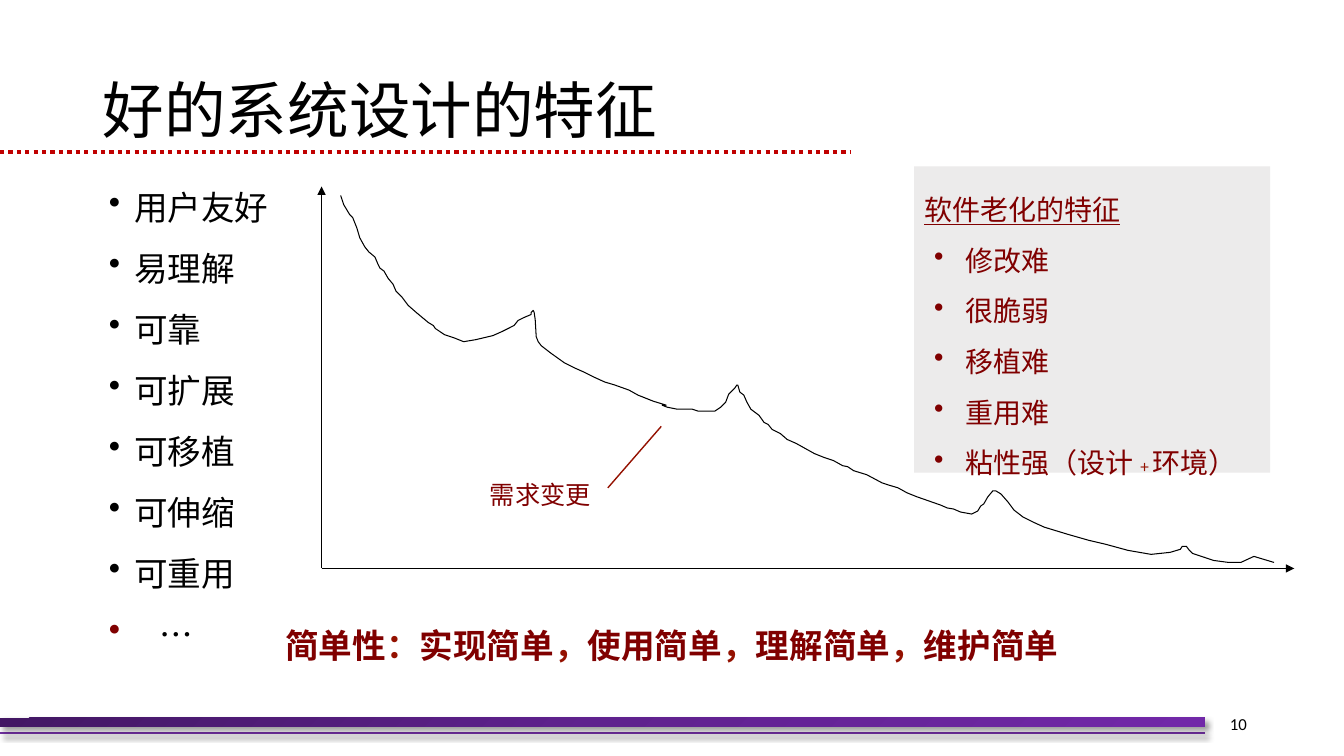
import copy
import pptx
import pptx.util
import pptx.dml.color
import pptx.enum.dml
import pptx.enum.shapes
import pptx.enum.text
import pptx.oxml
import pptx.oxml.ns

# Grid of square cells, ten to the inch: 133.3 columns by 75 rows.
CELL = pptx.util.Inches(0.1)
COLS, ROWS = 133.33, 75
HUES = {"black": "000000", "red": "C00000", "wine": "800000", "rust": "941100",
        "plum": "7030A0", "dusk": "431764", "grape": "5F218E", "iris": "7128A8",
        "grey": "ECEBEB"}
SANS = "Noto Sans CJK SC"
NS = pptx.oxml.ns.nsdecls("a")
SHADE = (f'<a:effectLst {NS}><a:outerShdw blurRad="50800" dist="38100" dir="2700000">'
         '<a:srgbClr val="000000"><a:alpha val="40000"/></a:srgbClr></a:outerShdw></a:effectLst>')

PLAIN = f"<a:effectLst {NS}/>"


def rgb(hue):
    return pptx.dml.color.RGBColor.from_string(HUES[hue])


def write(frame, paras, inset=0, anchor="TOP"):
    """Fill a frame from (format dict, bullet dict or None, runs); a run is (text, font dict)."""
    frame.word_wrap = True
    frame.vertical_anchor = pptx.enum.text.MSO_ANCHOR[anchor]
    frame.margin_left = frame.margin_right = frame.margin_bottom = 0
    frame.margin_top = round(inset * CELL)
    for i, (form, dot, runs) in enumerate(paras):
        para = frame.add_paragraph() if i else frame.paragraphs[0]
        if dot:
            props = para._p.get_or_add_pPr()
            props.set("marL", str(round(dot["left"] * CELL)))
            props.set("indent", str(round(-dot["hang"] * CELL)))
            tint = HUES[dot["hue"]]
            for xml in (f'<a:buClr {NS}><a:srgbClr val="{tint}"/></a:buClr>',
                        f'<a:buChar {NS} char="•"/>'):
                props.append(pptx.oxml.parse_xml(xml))
        for key, val in {"alignment": pptx.enum.text.PP_ALIGN.LEFT, **form}.items():
            setattr(para, key, val)
        for text, face in runs:
            run = para.add_run()
            run.text = text
            look = {"name": SANS, **face}
            run.font.color.rgb = rgb(look.pop("hue"))
            lift = look.pop("lift", None)
            for key, val in look.items():
                setattr(run.font, key, val)
            props = run._r.get_or_add_rPr()
            props.append(pptx.oxml.parse_xml(f'<a:ea {NS} typeface="{look["name"]}"/>'))
            if lift:
                props.set("baseline", lift)


Pt = pptx.util.Pt
deck = pptx.Presentation()
deck.slide_width, deck.slide_height = round(COLS * CELL), ROWS * CELL
slide = deck.slides.add_slide(deck.slide_layouts[6])
shapes = slide.shapes
RECT = pptx.enum.shapes.MSO_SHAPE.RECTANGLE

# Straight lines: ends in cells, hue, width, dash, arrow, effects
lines = [
    ((0, 72.7, 119.5, 72.7), "plum", 1.5, False, False, SHADE),
    ((0, 15.1, 84.4, 15.1), "red", 3, True, False, PLAIN),
    ((31.9, 56.4, 128.4, 56.4), "black", 0.75, False, True, PLAIN),
    ((31.9, 56.4, 31.9, 18.5), "black", 0.75, False, True, PLAIN),
    ((60.3, 48.4, 65.6, 42.3), "rust", 1, False, False, PLAIN),
]
for ends, hue, width, dash, arrow, effect in lines:
    line = shapes.add_connector(pptx.enum.shapes.MSO_CONNECTOR.STRAIGHT,
                                *(round(n * CELL) for n in ends))
    line.line.color.rgb = rgb(hue)
    line.line.width = Pt(width)
    if dash:
        line.line.dash_style = pptx.enum.dml.MSO_LINE.ROUND_DOT
    if arrow:
        line.line._get_or_add_ln().append(
            pptx.oxml.parse_xml(f'<a:tailEnd {NS} type="triangle"/>'))
    line._element.spPr.append(pptx.oxml.parse_xml(effect))

# Footer bar
bar = shapes.add_shape(RECT, 0, round(71.2 * CELL), round(119.5 * CELL), round(0.9 * CELL))
bar.line.fill.background()
bar.fill.gradient()
bar.fill.gradient_angle = 315
stops = bar._element.spPr.find(".//" + pptx.oxml.ns.qn("a:gsLst"))
stops.insert(1, copy.deepcopy(stops[0]))
for stop, hue, place in zip(bar.fill.gradient_stops, ("dusk", "grape", "iris"), (0, 0.5, 1)):
    stop.color.rgb = rgb(hue)
    stop.position = place
bar._element.spPr.append(pptx.oxml.parse_xml(SHADE))

# Decay curve, in hundredths of an inch
curve = [
    (338, 194), (341, 203), (347, 213), (350, 216), (354, 226), (357, 236), (362, 245),
    (366, 250), (372, 255), (375, 262), (377, 266), (381, 269), (385, 276), (390, 282),
    (393, 289), (399, 295), (405, 303), (413, 310), (425, 320), (430, 323), (432, 326),
    (441, 332), (450, 335), (460, 339), (472, 337), (489, 333), (498, 329), (510, 323),
    (514, 318), (520, 315), (527, 312), (527, 310), (529, 308), (530, 310), (531, 317),
    (532, 334), (534, 339), (537, 343), (546, 350), (560, 360), (570, 365), (579, 369),
    (589, 374), (600, 379), (610, 382), (624, 387), (633, 392), (648, 398), (661, 402),
    (657, 402), (662, 404), (672, 406), (687, 406), (693, 408), (709, 408), (715, 404),
    (720, 399), (723, 391), (729, 385), (731, 382), (732, 382), (734, 389), (738, 392),
    (741, 399), (745, 406), (753, 412), (758, 419), (762, 421), (766, 426), (774, 430),
    (781, 436), (790, 440), (808, 450), (818, 454), (827, 457), (836, 462), (841, 463),
    (847, 467), (860, 471), (875, 479), (881, 481), (891, 484), (900, 489), (910, 493),
    (933, 501), (940, 504), (946, 505), (953, 508), (964, 510), (970, 507), (973, 502),
    (976, 500), (980, 493), (985, 487), (988, 487), (993, 490), (1000, 498), (1006, 506),
    (1015, 513), (1025, 518), (1036, 523), (1059, 530), (1080, 536), (1097, 540),
    (1119, 546), (1142, 550), (1161, 548), (1171, 545), (1173, 542), (1177, 542),
    (1180, 546), (1183, 549), (1195, 553), (1204, 556), (1219, 558), (1231, 558),
    (1244, 552), (1264, 558)]
build = shapes.build_freeform(*curve[0], scale=CELL / 10)
build.add_line_segments(curve[1:], close=False)
decay = build.convert_to_shape()
decay.fill.background()
decay.line.color.rgb = rgb("black")
decay.line.width = Pt(0.75)
decay.shadow.inherit = False

# Panel on ageing software
panel = shapes.add_shape(RECT, *(round(n * CELL) for n in (90.7, 16.5, 35.3, 30.4)))
panel.fill.solid()
panel.fill.fore_color.rgb = rgb("grey")
panel.line.fill.background()
panel.shadow.inherit = False
wine = {"size": Pt(20), "hue": "wine"}
pitch = {"line_spacing": Pt(36.2)}
mark = {"left": 4.1, "hang": 3.1, "hue": "wine"}
signs = [[(word, wine)] for word in ("修改难", "很脆弱", "移植难", "重用难")]
signs.append([("粘性强（设计 ", wine), ("+ ", {**wine, "hue": "rust", "lift": "3000"}),
              ("环境）", wine)])
write(panel.text_frame,
      [(pitch, None, [("软件老化的特征", {**wine, "underline": True})])]
      + [(pitch, mark, runs) for runs in signs], 0.9)
panel.text_frame.margin_left = CELL

# Text boxes: place in cells, paragraphs, top inset, anchor
ink = {"size": Pt(24), "hue": "black"}
traits = []
for i, word in enumerate(("用户友好", "易理解", "可靠", "可扩展", "可移植", "可伸缩", "可重用", "…")):
    last = word == "…"
    form = {"line_spacing": Pt(28.8), "space_before": Pt(14.8 if i else 0)}
    dot = {"left": 5.1 if last else 2.6, "hang": 5 if last else 2.5,
           "hue": "wine" if last else "black"}
    traits.append((form, dot, [(word, ink)]))
motto = []
for i, word in enumerate(("简单性", "实现简单", "使用简单", "理解简单", "维护简单")):
    if i:
        motto.append(("：" if i == 1 else "，", {"size": Pt(24), "hue": "rust", "bold": True}))
    motto.append((word, {"size": Pt(24), "hue": "wine", "bold": True}))
align = pptx.enum.text.PP_ALIGN
boxes = [
    ((10.2, 4, 113, 14.5), [({"line_spacing": 0.9}, None,
     [("好的系统设计的特征", {"size": Pt(44), "hue": "black"})])], 0, "MIDDLE"),
    ((113.8, 69.8, 9.9, 4), [({"alignment": align.RIGHT}, None,
     [("10", {"size": Pt(12), "hue": "black", "name": "Calibri"})])], 0, "MIDDLE"),
    ((10.7, 16.1, 18.7, 48.7), traits, 2.4, "TOP"),
    ((48.6, 47.4, 11, 3.3), [({"line_spacing": Pt(21.6)}, None,
     [("需求变更", {"size": Pt(18), "hue": "wine"})])], 0.2, "TOP"),
    ((22.8, 61.6, 87.7, 4.2), [({"line_spacing": Pt(28.8), "alignment": align.CENTER},
     None, motto)], 0.4, "TOP"),
]
for place, paras, inset, anchor in boxes:
    box = shapes.add_textbox(*(round(n * CELL) for n in place))
    write(box.text_frame, paras, inset, anchor)

deck.save("out.pptx")
